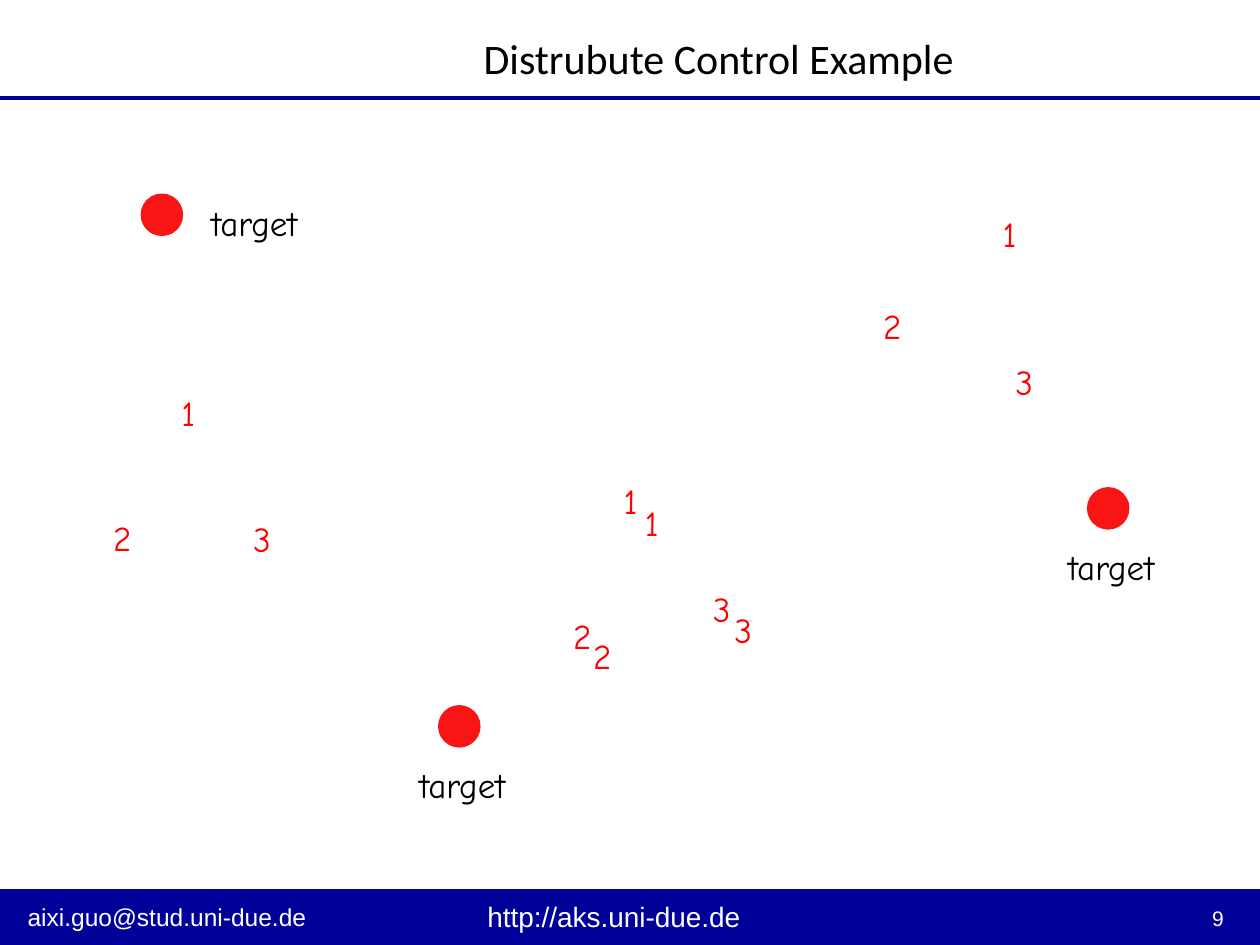
from dataclasses import dataclass

from lxml.etree import SubElement
from pptx import Presentation
from pptx.dml.color import RGBColor
from pptx.enum.shapes import MSO_CONNECTOR, MSO_SHAPE
from pptx.enum.text import PP_ALIGN
from pptx.oxml.ns import qn
from pptx.util import Inches, Pt

COLORS = {
    "navy": "000099",
    "target": "F91515",
    "robot": "FF0000",
    "black": "000000",
    "white": "FFFFFF",
}


@dataclass
class Label:
    text: str
    left: float
    top: float
    width: float
    height: float = 0.44
    size: int = 20
    font: str = "Comic Neue"
    color: str = "black"
    align: PP_ALIGN = PP_ALIGN.LEFT
    wrap: bool = True


@dataclass
class Target:
    left: float
    top: float
    label_dx: float = -0.26
    label_dy: float = 0.4


@dataclass
class Team:
    one: tuple[float, float]
    two: tuple[float, float]
    three: tuple[float, float]


TARGETS = [
    Target(1.13, 1.55, 0.45, 0),
    Target(3.49, 5.61),
    Target(8.64, 3.88),
]

TEAMS = [
    Team((1.34, 3.06), (0.8, 4.05), (1.91, 4.06)),
    Team((4.85, 3.76), (4.45, 4.83), (5.56, 4.61)),
    Team((5.02, 3.93), (4.61, 4.99), (5.73, 4.78)),
    Team((7.86, 1.64), (6.91, 2.37), (7.96, 2.81)),
]

FOOTER = [
    Label("http://aks.uni-due.de", 3.77, 7.09, 3.87, 0.28, 16, "Arial", "white"),
    Label("9", 9.17, 7.14, 0.64, 0.34, 12, "Arial", "white", PP_ALIGN.RIGHT),
    Label("aixi.guo@stud.uni-due.de", 0.12, 7.11, 2.51, 0.34, 14, "Arial", "white"),
]

TITLE = Label("Distrubute Control Example", 3.74, 0.21, 3.97, 0.5, 24, "Calibri", wrap=False)


def rgb(name: str) -> RGBColor:
    return RGBColor.from_string(COLORS[name])


def add_label(s, label: Label) -> None:
    sp = s.shapes.add_textbox(
        Inches(label.left), Inches(label.top), Inches(label.width), Inches(label.height)
    )
    tf = sp.text_frame
    tf.word_wrap = label.wrap
    p = tf.paragraphs[0]
    p.alignment = label.align
    r = p.add_run()
    r.text = label.text
    r.font.size = Pt(label.size)
    r.font.name = label.font
    r.font.color.rgb = rgb(label.color)


def add_solid(s, kind: MSO_SHAPE, left: float, top: float, width: float,
              height: float, color: str, line: float) -> None:
    sp = s.shapes.add_shape(kind, Inches(left), Inches(top), Inches(width), Inches(height))
    sp.shadow.inherit = False
    sp.fill.solid()
    sp.fill.fore_color.rgb = rgb(color)
    sp.line.color.rgb = rgb(color)
    sp.line.width = Pt(line)


def add_rule(s, y: float) -> None:
    sp = s.shapes.add_connector(
        MSO_CONNECTOR.STRAIGHT, Inches(0), Inches(y), Inches(10), Inches(y)
    )
    sp.line.color.rgb = rgb("navy")
    sp.line.width = Pt(2.25)
    SubElement(sp._element.spPr, qn("a:effectLst"))


def add_target(s, target: Target) -> None:
    add_solid(s, MSO_SHAPE.OVAL, target.left, target.top, 0.31, 0.31, "target", 2)
    add_label(s, Label("target", target.left + target.label_dx,
                       target.top + target.label_dy, 1.26))


def add_team(s, team: Team) -> None:
    for number, (left, top) in enumerate((team.one, team.two, team.three), 1):
        add_label(s, Label(str(number), left, top, 0.41, color="robot"))


def main() -> None:
    prs = Presentation()
    prs.slide_width = Inches(10)
    prs.slide_height = Inches(7.5)
    s = prs.slides.add_slide(prs.slide_layouts[6])

    add_rule(s, 0.78)
    add_solid(s, MSO_SHAPE.RECTANGLE, 0, 7.06, 10, 0.44, "navy", 0.75)
    for label in FOOTER:
        add_label(s, label)
    for target in TARGETS:
        add_target(s, target)
    for team in TEAMS:
        add_team(s, team)
    add_label(s, TITLE)

    prs.save("out.pptx")


if __name__ == "__main__":
    main()
